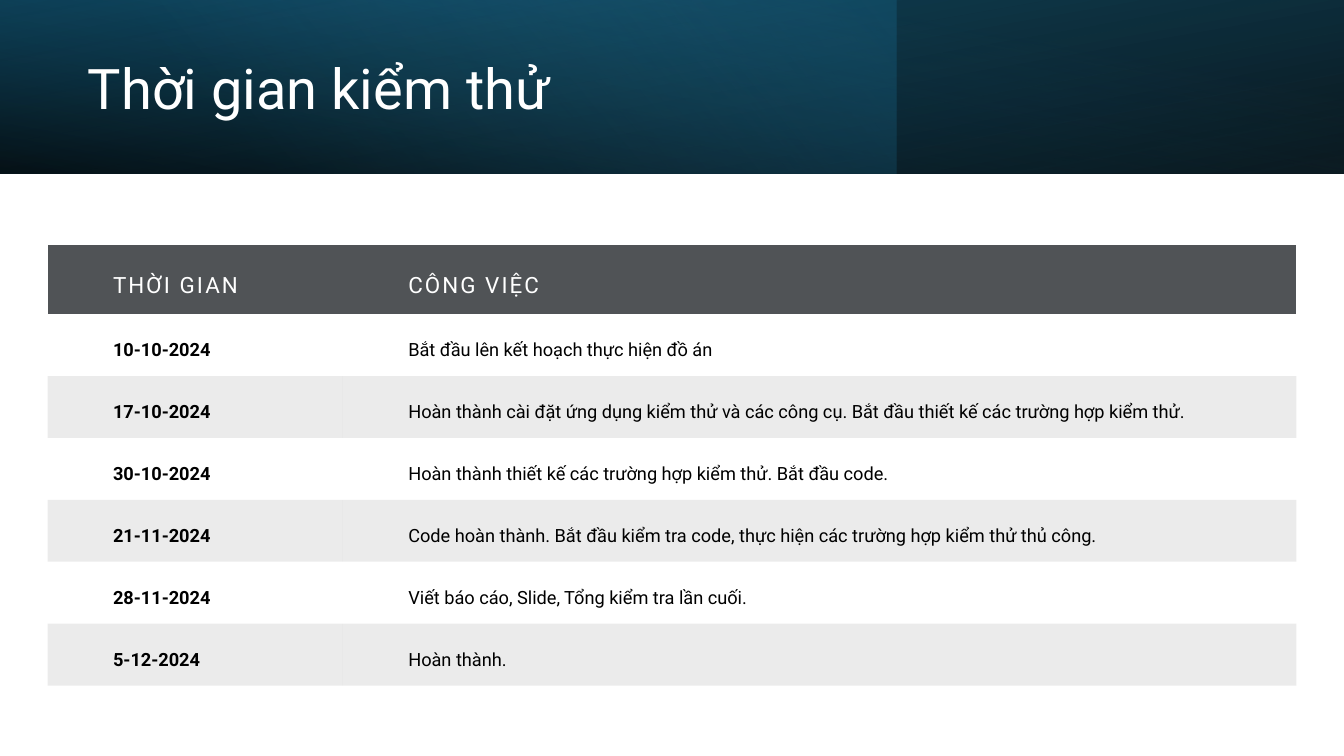
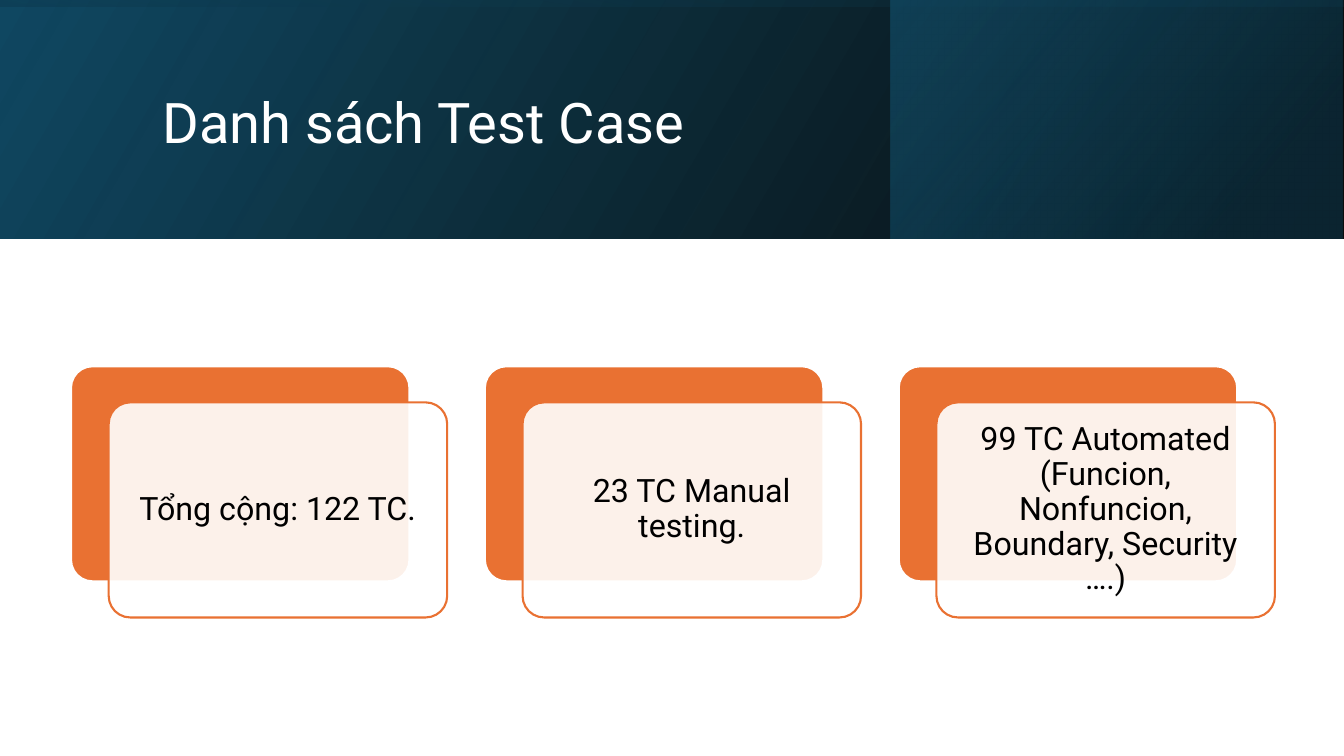
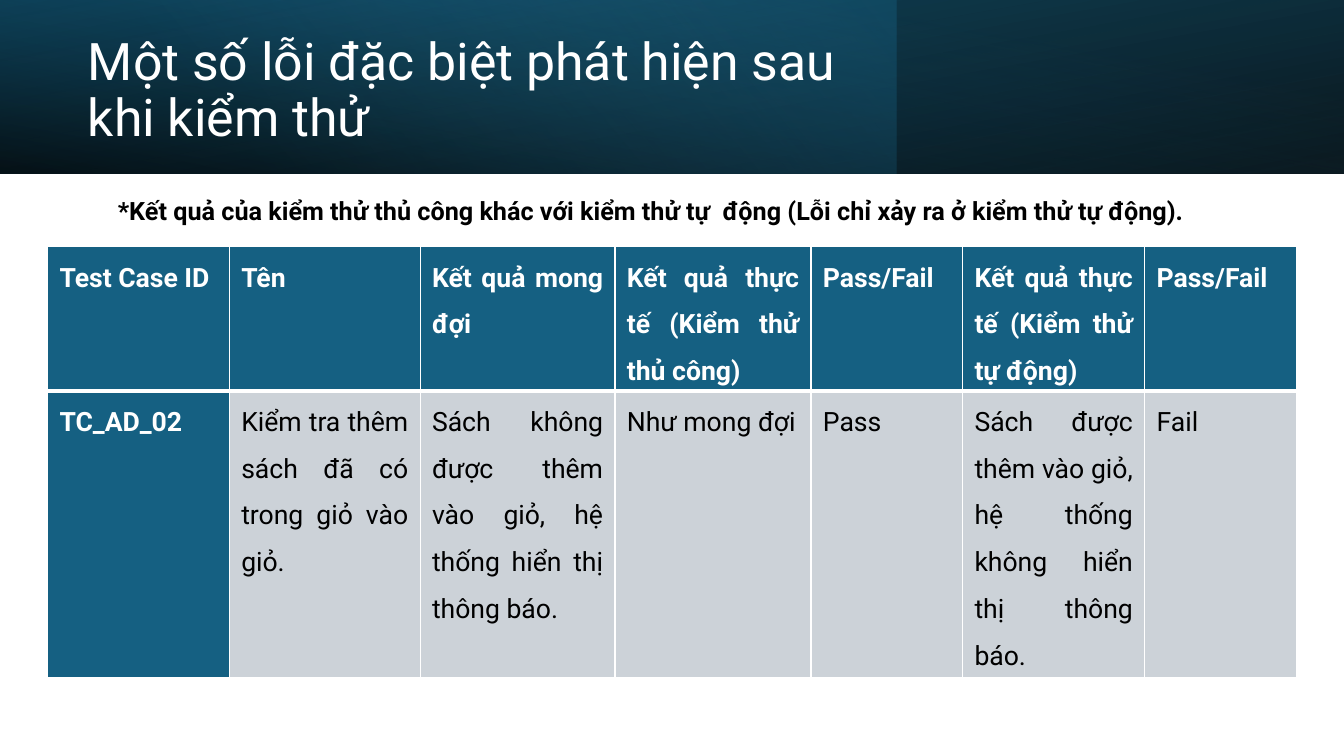
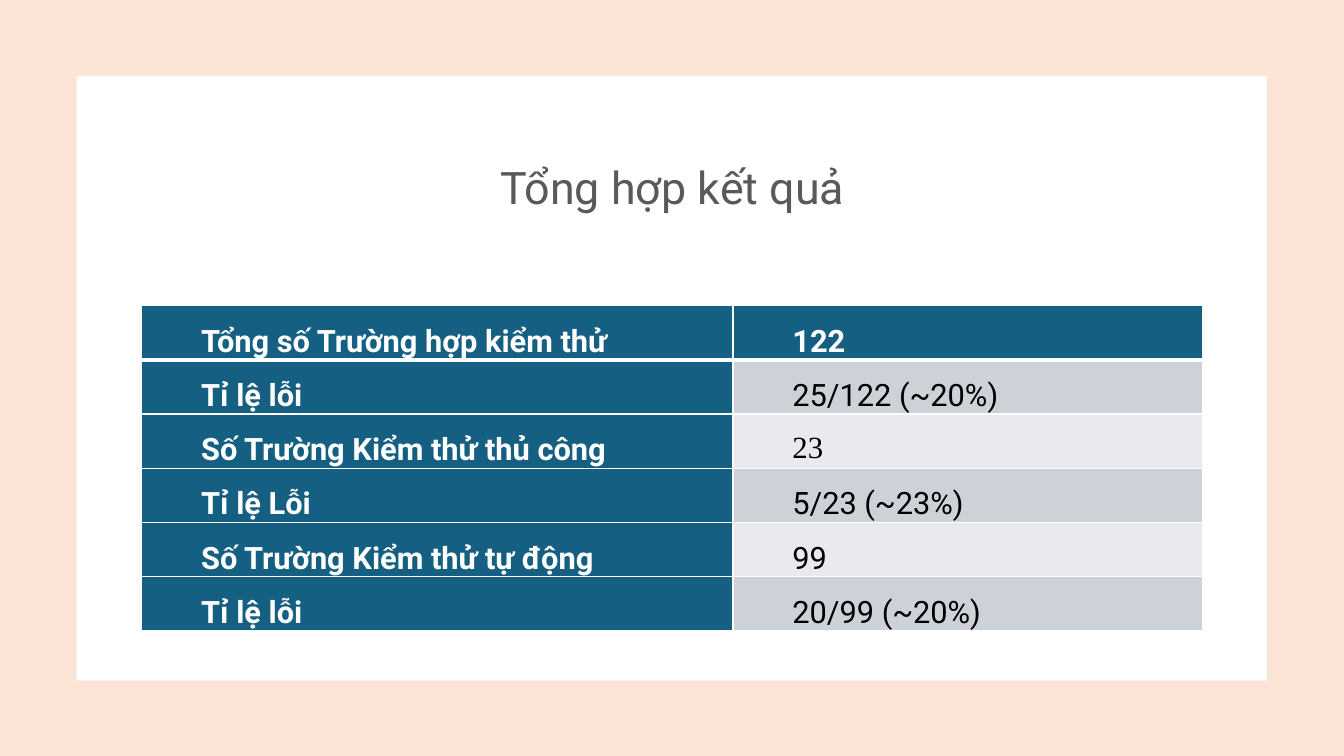
from pptx import Presentation
from pptx import util as u
from pptx.dml.color import RGBColor
from pptx.enum import shapes, text
from pptx.oxml import parse_xml
from pptx.oxml.ns import nsdecls, qn

WIDTH, HEIGHT = 33.87, 19.05
FONT = "Roboto"
WHITE, BLACK = "FFFFFF", "000000"
TEAL, NAVY, SKY, DEEP = "156082", "104862", "46B1E1", "0B3041"
ORANGE, PEACH, GRAY = "E97132", "FBE3D6", "595959"
HEADER_GRAY, CELL_DARK, CELL_LIGHT = "505356", "CCD2D8", "E8EAED"
NO_TABLE_STYLE = "{2D5ABB26-0587-4C30-8999-92F81FD0307C}"
LEFT, CENTER, JUSTIFY = text.PP_ALIGN.LEFT, text.PP_ALIGN.CENTER, text.PP_ALIGN.JUSTIFY
MIDDLE = text.MSO_ANCHOR.MIDDLE
TITLE_LEFT, TITLE_TOP, TITLE_WIDTH, TITLE_HEIGHT = 1.96, 0.69, 19.61, 3.23
SLIM_BAND, TALL_BAND = 4.37, 6.02


def color(value):
    return RGBColor.from_string(value)


def lengths(*values):
    return [u.Cm(value) for value in values]


def write(frame, words, size=18, fill=BLACK, bold=False, font=FONT, align=LEFT, line=0.9,
          before=0, after=0, indent=0, spacing=0, anchor=None, inset=None):
    """Set the only paragraph of a text frame; inset is (sides, top and bottom)."""
    frame.word_wrap = True
    if anchor is not None:
        frame.vertical_anchor = anchor
    if inset:
        frame.margin_left = frame.margin_right = u.Cm(inset[0])
        frame.margin_top = frame.margin_bottom = u.Cm(inset[1])
    para = frame.paragraphs[0]
    para.alignment, para.line_spacing = align, line
    para.space_before, para.space_after = u.Pt(before), u.Pt(after)
    if indent:
        properties = para._p.get_or_add_pPr()
        properties.set("marL", str(u.Cm(indent)))
        properties.set("indent", "0")
    span = para.add_run()
    span.text = words
    span.font.name, span.font.size, span.font.bold = font, u.Pt(size), bold
    span.font.color.rgb = color(fill)
    if spacing:
        span.font._element.set("spc", str(int(spacing * 100)))


def paint(fill, properties, value, opacity=100):
    fill.solid()
    fill.fore_color.rgb = color(value)
    if opacity < 100:
        tint = properties.find(qn("a:solidFill")).find(qn("a:srgbClr"))
        tint.append(parse_xml(f'<a:alpha {nsdecls("a")} val="{opacity * 1000}"/>'))


def add_box(page, left, top, width, height, fill=None, opacity=100, line=None, radius=None):
    kind = shapes.MSO_SHAPE.RECTANGLE if radius is None else shapes.MSO_SHAPE.ROUNDED_RECTANGLE
    box = page.shapes.add_shape(kind, *lengths(left, top, width, height))
    box.shadow.inherit = False
    if radius is not None:
        box.adjustments[0] = radius
    if fill:
        paint(box.fill, box.element.spPr, fill, opacity)
    if line:
        box.line.color.rgb, box.line.width = color(line), u.Pt(1.5)
    else:
        box.line.fill.background()
    return box


def add_gradient(page, left, top, width, height, stops, angle, flip=True, turn=0):
    """Add a linear gradient; stops are (position, colour, opacity)."""
    box = add_box(page, left, top, width, height)
    box.rotation = turn
    properties = box.element.spPr
    if flip:
        properties.find(qn("a:xfrm")).set("flipH", "1")
    marks = "".join(
        f'<a:gs pos="{position * 1000}"><a:srgbClr val="{value}">'
        f'<a:alpha val="{opacity * 1000}"/></a:srgbClr></a:gs>'
        for position, value, opacity in stops)
    box.fill.background()
    properties.replace(properties.find(qn("a:noFill")), parse_xml(
        f'<a:gradFill {nsdecls("a")} rotWithShape="1"><a:gsLst>{marks}</a:gsLst>'
        f'<a:lin ang="{angle * 60000}" scaled="0"/></a:gradFill>'))


def add_slim_band(page, height=SLIM_BAND):
    add_gradient(page, 0, 0, WIDTH, height, [(0, BLACK, 96), (100, NAVY, 100)], 100, turn=180)
    add_gradient(page, 0, 0, 22.58, height, [(0, TEAL, 41), (74, SKY, 0)], 140, flip=False)
    add_gradient(page, 0, 0, WIDTH, height, [(0, BLACK, 63), (78, TEAL, 15)], 260)


def add_tall_band(page, height=TALL_BAND):
    add_gradient(page, 0, 0, WIDTH, height, [(0, BLACK, 96), (100, NAVY, 100)], 330)
    add_gradient(page, 22.45, 0, 11.38, height, [(19, DEEP, 68), (100, TEAL, 48)], 320)
    shift = (WIDTH - height) / 2
    add_gradient(page, shift, -shift, height, WIDTH,
                 [(23, NAVY, 16), (99, BLACK, 45)], 350, turn=270)


def place_title(page, words, left=TITLE_LEFT, top=TITLE_TOP, width=TITLE_WIDTH,
                height=TITLE_HEIGHT, size=40, fill=WHITE, align=LEFT):
    """Fill the title and bring it in front of what is already on the page."""
    title = page.shapes.title
    title.left, title.top, title.width, title.height = lengths(left, top, width, height)
    title.text_frame.auto_size = text.MSO_AUTO_SIZE.NONE
    write(title.text_frame, words, size=size, fill=fill, align=align, anchor=MIDDLE)
    title.element.getparent().append(title.element)


def add_borders(properties, bottom):
    for side in "LRTB":
        points = bottom if side == "B" else 1
        properties.append(parse_xml(
            f'<a:ln{side} {nsdecls("a")} w="{u.Pt(points)}"><a:solidFill>'
            f'<a:srgbClr val="{WHITE}"/></a:solidFill></a:ln{side}>'))


def add_table(page, left, top, widths, heights, rows, look, inset, borders=True):
    """Add a table; look(row, column) gives fill, opacity and text format."""
    frame = page.shapes.add_table(len(heights), len(widths),
                                  *lengths(left, top, sum(widths), sum(heights)))
    table = frame.table
    table.first_row = table.horz_banding = False
    table._tbl.tblPr.find(qn("a:tableStyleId")).text = NO_TABLE_STYLE
    for column, width in zip(table.columns, widths):
        column.width = u.Cm(width)
    for number, (row, height) in enumerate(zip(table.rows, heights)):
        row.height = u.Cm(height)
        for column, words in enumerate(rows[number]):
            cell = table.cell(number, column)
            fill, opacity, style = look(number, column)
            properties = cell._tc.get_or_add_tcPr()
            if borders:
                add_borders(properties, 3 if number == 0 else 1)
            if fill:
                paint(cell.fill, properties, fill, opacity)
            else:
                cell.fill.background()
            cell.margin_left = cell.margin_right = u.Cm(inset[0])
            cell.margin_top = cell.margin_bottom = u.Cm(inset[1])
            write(cell.text_frame, words, align=JUSTIFY, line=1.5, **style)


def pair_spacing(column):
    return dict(indent=1.27, before=0 if column else 6, after=6 if column else 0)


def schedule_look(row, column):
    style = pair_spacing(column)
    if row == 0:
        return HEADER_GRAY, 100, dict(style, size=16, fill=WHITE, spacing=1.5)
    return None if row % 2 else BLACK, 8, dict(style, size=13, bold=column == 0)


def defect_look(row, column):
    heading = row == 0 or column == 0
    return (TEAL if heading else CELL_DARK, 100,
            dict(size=19, bold=heading, fill=WHITE if heading else BLACK, before=6, after=6))


def summary_look(row, column):
    style = dict(pair_spacing(column), size=22)
    if row == 0 or column == 0:
        return TEAL, 100, dict(style, fill=WHITE, bold=True)
    if row == 2:
        style["font"] = "Times New Roman"
    return CELL_DARK if row % 2 else CELL_LIGHT, 100, style


def add_card(page, left, top, width, height, words):
    add_box(page, left, top, width, height, ORANGE, line=WHITE, radius=0.1)
    front = add_box(page, left + 0.95, top + 0.91, width, height, WHITE, 90,
                    line=ORANGE, radius=0.1)
    write(front.text_frame, words, size=23, align=CENTER, anchor=MIDDLE, inset=(0.41, 0.41))


def schedule_slide(page):
    add_slim_band(page)
    place_title(page, "Thời gian kiểm thử")
    rows = [
        ("THỜI GIAN", "CÔNG VIỆC"),
        ("10-10-2024", "Bắt đầu lên kết hoạch thực hiện đồ án"),
        ("17-10-2024", "Hoàn thành cài đặt ứng dụng kiểm thử và các công cụ. "
                       "Bắt đầu thiết kế các trường hợp kiểm thử."),
        ("30-10-2024", "Hoàn thành thiết kế các trường hợp kiểm thử. Bắt đầu code."),
        ("21-11-2024", "Code hoàn thành. Bắt đầu kiểm tra code, "
                       "thực hiện các trường hợp kiểm thử thủ công."),
        ("28-11-2024", "Viết báo cáo, Slide, Tổng kiểm tra lần cuối."),
        ("5-12-2024", "Hoàn thành."),
    ]
    add_table(page, 1.2, 6.17, [7.44, 24.03], [1.7] + [1.54] * 6, rows,
              schedule_look, (0.38, 0.38), borders=False)


def test_case_slide(page):
    add_tall_band(page)
    place_title(page, "Danh sách Test Case", 3.84, 0.97, 27, 4.37)
    cards = ["Tổng cộng: 122 TC.", "23 TC Manual testing.",
             "99 TC Automated (Funcion, Nonfuncion, Boundary, Security ….)"]
    for number, words in enumerate(cards):
        add_card(page, 1.79 + number * 10.43, 9.23, 8.53, 5.42, words)


def defect_slide(page):
    add_slim_band(page)
    place_title(page, "Một số lỗi đặc biệt phát hiện sau khi kiểm thử", size=37)
    rows = [
        ("Test Case ID", "Tên", "Kết quả mong đợi", "Kết quả thực tế (Kiểm thử thủ công)",
         "Pass/Fail", "Kết quả thực tế (Kiểm thử tự động)", "Pass/Fail"),
        ("TC_AD_02", "Kiểm tra thêm sách đã có trong giỏ vào giỏ.",
         "Sách không được thêm vào giỏ, hệ thống hiển thị thông báo.", "Như mong đợi", "Pass",
         "Sách được thêm vào giỏ, hệ thống không hiển thị thông báo.", "Fail"),
    ]
    add_table(page, 1.2, 6.22, [4.58, 4.81, 4.91, 4.94, 3.82, 4.59, 3.82], [3.63, 7.23],
              rows, defect_look, (0.3, 0))
    note = page.shapes.add_textbox(*lengths(2.72, 4.88, 28.42, 0.97))
    write(note.text_frame, "*Kết quả của kiểm thử thủ công khác với kiểm thử tự  động "
          "(Lỗi chỉ xảy ra ở kiểm thử tự động).", bold=True)


def summary_slide(page):
    add_box(page, 0, 0, WIDTH, HEIGHT, PEACH)
    add_box(page, 1.93, 1.91, 30, 15.24, WHITE)
    place_title(page, "Tổng hợp kết quả", 4.04, 2.87, 25.81, 3.81,
                size=32, fill=GRAY, align=CENTER)
    rows = [
        ("Tổng số Trường hợp kiểm thử", "122"),
        ("Tỉ lệ lỗi", "25/122 (~20%)"),
        ("Số Trường Kiểm thử thủ công", "23"),
        ("Tỉ lệ Lỗi", "5/23 (~23%)"),
        ("Số Trường Kiểm thử tự động", "99"),
        ("Tỉ lệ lỗi", "20/99 (~20%)"),
    ]
    add_table(page, 3.57, 7.7, [14.9, 11.84], [1.36] * 6, rows, summary_look, (0.23, 0))


def main():
    deck = Presentation()
    deck.slide_width, deck.slide_height = lengths(WIDTH, HEIGHT)
    title_only = deck.slide_layouts[5]
    for build in (schedule_slide, test_case_slide, defect_slide, summary_slide):
        build(deck.slides.add_slide(title_only))
    deck.save("out.pptx")


if __name__ == "__main__":
    main()
